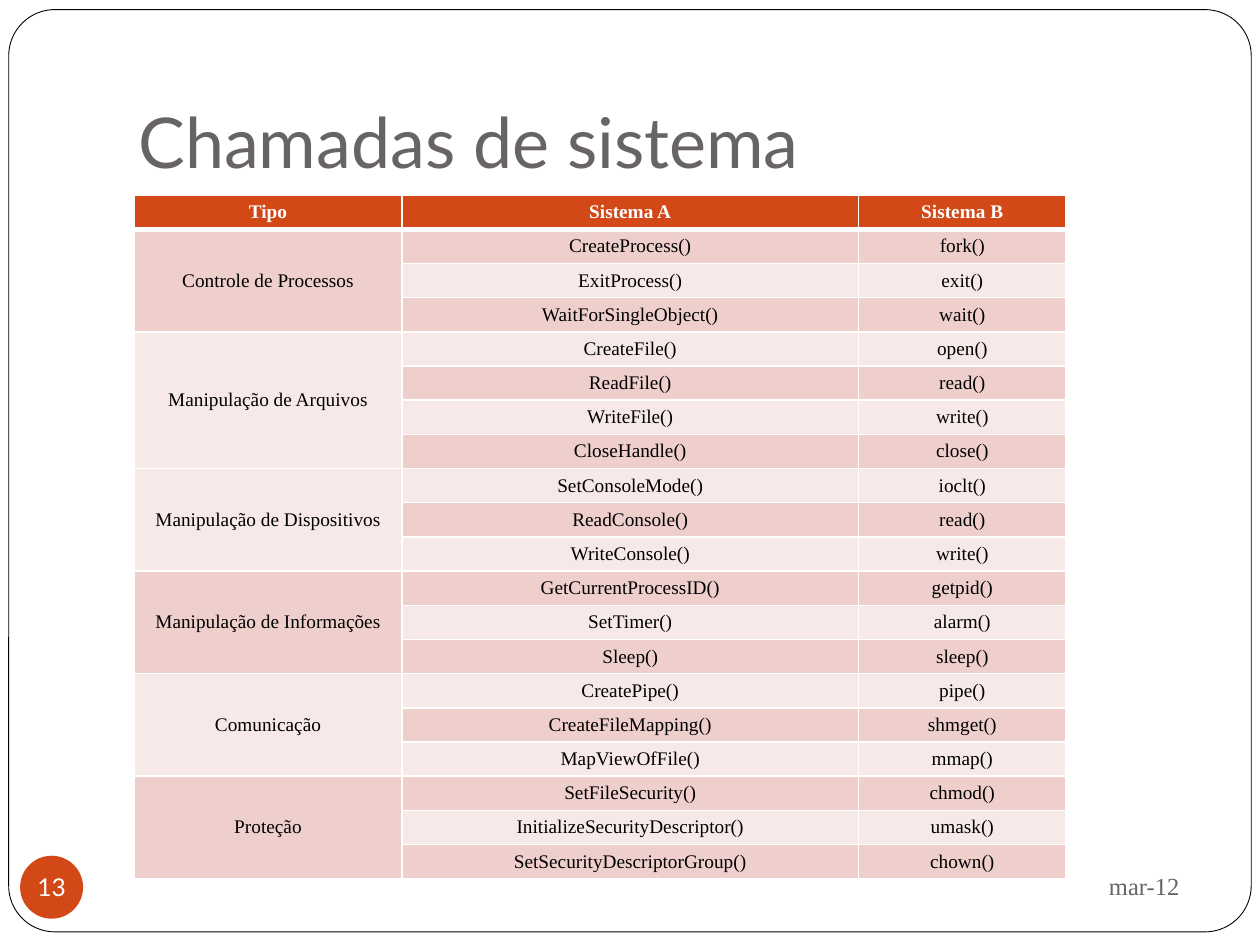
from pptx import Presentation
from pptx.dml.color import RGBColor
from pptx.enum.shapes import MSO_SHAPE as Shape
from pptx.enum.text import MSO_ANCHOR as Anchor, PP_ALIGN as Align
from pptx.oxml.ns import qn
from pptx.util import Pt
from lxml.etree import SubElement

SERIF, SANS = "Times New Roman", "Lato"
ACCENT, GREY, WHITE, BLACK = "D34817", "696464", "FFFFFF", "000000"
BANDS = ("EFCFCC", "F7E9E8")

HEADER = ("Tipo", "Sistema A", "Sistema B")
COLUMN_WIDTHS = (153.3, 260.7, 118.8)
ROW_HEIGHT = 19.55
GROUPS = [
    ("Controle de Processos", [
        ("CreateProcess()", "fork()"),
        ("ExitProcess()", "exit()"),
        ("WaitForSingleObject()", "wait()")]),
    ("Manipulação de Arquivos", [
        ("CreateFile()", "open()"),
        ("ReadFile()", "read()"),
        ("WriteFile()", "write()"),
        ("CloseHandle()", "close()")]),
    ("Manipulação de Dispositivos", [
        ("SetConsoleMode()", "ioclt()"),
        ("ReadConsole()", "read()"),
        ("WriteConsole()", "write()")]),
    ("Manipulação de Informações", [
        ("GetCurrentProcessID()", "getpid()"),
        ("SetTimer()", "alarm()"),
        ("Sleep()", "sleep()")]),
    ("Comunicação", [
        ("CreatePipe()", "pipe()"),
        ("CreateFileMapping()", "shmget()"),
        ("MapViewOfFile()", "mmap()")]),
    ("Proteção", [
        ("SetFileSecurity()", "chmod()"),
        ("InitializeSecurityDescriptor()", "umask()"),
        ("SetSecurityDescriptorGroup()", "chown()")]),
]


def color(value):
    return RGBColor.from_string(value)


def set_all(target, values):
    for name, value in values.items():
        setattr(target, name, value)


def write(frame, text, size, font, ink, align=Align.CENTER, bold=False):
    para = frame.paragraphs[0]
    para.alignment = align
    span = para.add_run()
    span.text = text
    set_all(span.font, {"size": Pt(size), "name": font, "bold": bold})
    span.font.color.rgb = color(ink)


def add_text(page, place, text, frame_format, **style):
    box = page.shapes.add_textbox(*map(Pt, place))
    set_all(box.text_frame, {"word_wrap": True, **frame_format})
    write(box.text_frame, text, **style)


def add_preset(page, preset, place, fill, line=None):
    shape = page.shapes.add_shape(preset, *map(Pt, place))
    shape.shadow.inherit = False
    shape.fill.solid()
    shape.fill.fore_color.rgb = color(fill)
    if line:
        shape.line.color.rgb = color(line)
        shape.line.width = Pt(0.5)
    else:
        shape.line.fill.background()
    return shape


def add_borders(cell, widths):
    properties = cell._tc.get_or_add_tcPr()
    for side, width in zip(("L", "R", "T", "B"), widths):
        line = SubElement(properties, qn(f"a:ln{side}"), w=str(Pt(width)))
        SubElement(SubElement(line, qn("a:solidFill")), qn("a:srgbClr"), val=WHITE)


def format_cell(cell, fill, bottom=1, top=1):
    add_borders(cell, (1, 1, top, bottom))
    cell.fill.solid()
    cell.fill.fore_color.rgb = color(fill)
    set_all(cell, {"vertical_anchor": Anchor.MIDDLE,
                   "margin_top": 0, "margin_bottom": 0})


def add_calls_table(page, left, top):
    row_count = 1 + sum(len(calls) for _, calls in GROUPS)
    table = page.shapes.add_table(
        row_count, len(HEADER), Pt(left), Pt(top),
        Pt(sum(COLUMN_WIDTHS)), Pt(ROW_HEIGHT * row_count)).table
    for column, width in zip(table.columns, COLUMN_WIDTHS):
        column.width = Pt(width)
    for row in table.rows:
        row.height = Pt(ROW_HEIGHT)

    # Header row
    for index, title in enumerate(HEADER):
        cell = table.cell(0, index)
        format_cell(cell, ACCENT, bottom=3)
        write(cell.text_frame, title, 11, SERIF, WHITE, bold=True)

    # Each group: a merged type cell beside its banded calls
    first = 1
    for kind, calls in GROUPS:
        for row, call in enumerate(calls, first):
            for index, text in enumerate(("", *call)):
                cell = table.cell(row, index)
                band = BANDS[((row if index else first) - 1) % 2]
                format_cell(cell, band, top=3 if row == 1 else 1)
                if text:
                    write(cell.text_frame, text, 11, SERIF, BLACK)
        type_cell = table.cell(first, 0)
        type_cell.merge(table.cell(first + len(calls) - 1, 0))
        write(type_cell.text_frame, kind, 11, SERIF, BLACK)
        first += len(calls)


def main():
    deck = Presentation()
    set_all(deck, {"slide_width": Pt(720), "slide_height": Pt(540)})
    page = deck.slides.add_slide(deck.slide_layouts[6])

    # Page outline
    outline = add_preset(page, Shape.ROUNDED_RECTANGLE,
                         (5, 5.5, 710, 527), WHITE, BLACK)
    outline.adjustments[0] = 0.05

    # Title and date
    add_text(page, (72, 21.6, 612, 90), "Chamadas de sistema",
             {"vertical_anchor": Anchor.BOTTOM, "margin_bottom": Pt(7.2)},
             size=40, font=SANS, ink=GREY, align=Align.LEFT)
    add_text(page, (486, 487.5, 195, 37.5), "mar-12",
             {"vertical_anchor": Anchor.MIDDLE},
             size=14, font=SERIF, ink=GREY, align=Align.RIGHT)

    # Page number badge
    badge = add_preset(page, Shape.OVAL, (11.5, 489, 36, 36), ACCENT)
    sides = ("left", "right", "top", "bottom")
    set_all(badge.text_frame, {f"margin_{side}": 0 for side in sides})
    set_all(badge.text_frame, {"word_wrap": False,
                               "vertical_anchor": Anchor.MIDDLE})
    write(badge.text_frame, "13", 14, SANS, WHITE)

    # System calls
    add_calls_table(page, 76.5, 111.5)
    deck.save("out.pptx")


if __name__ == "__main__":
    main()
